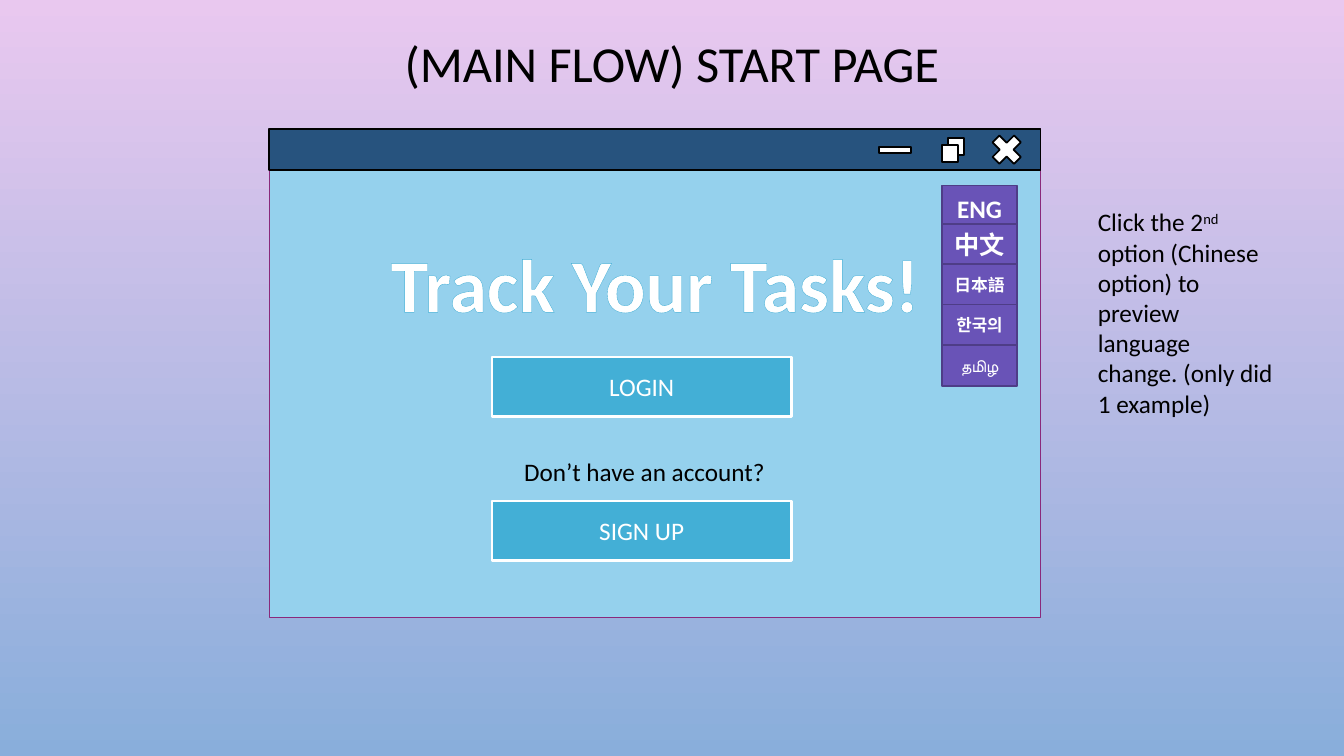
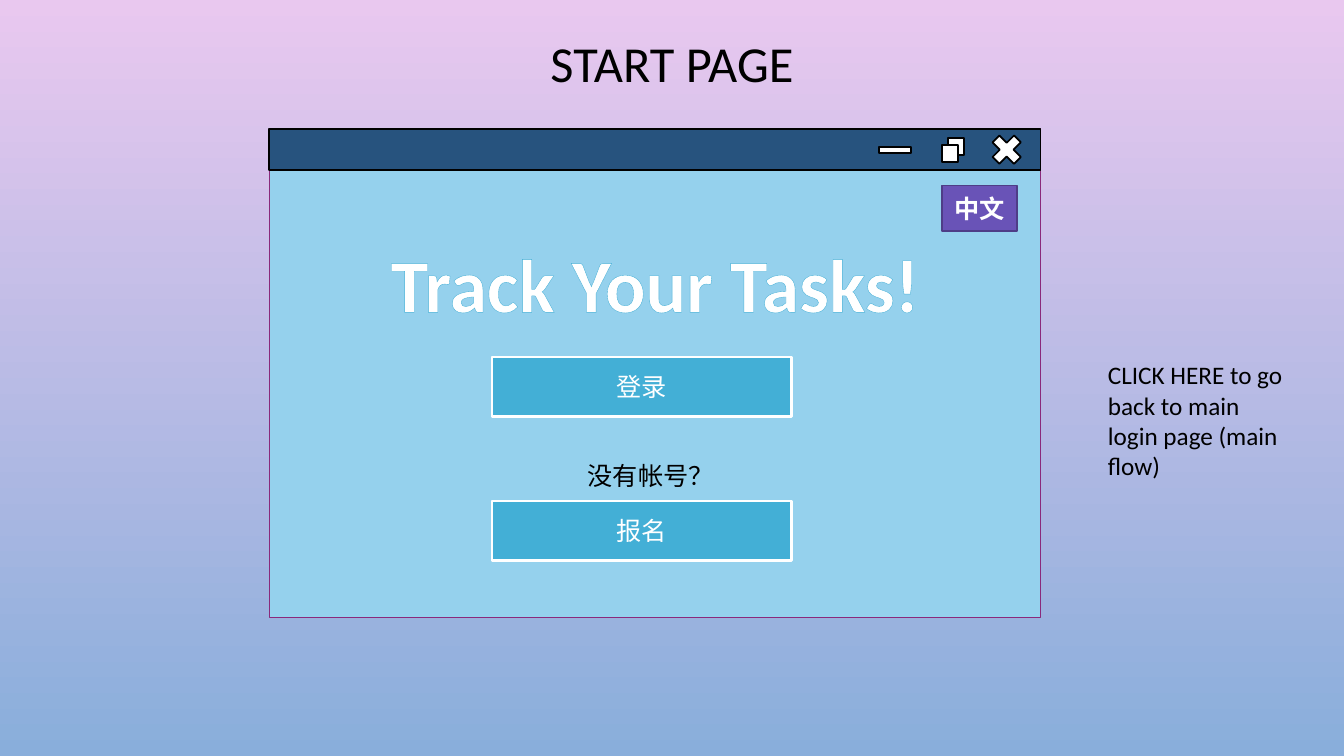
from lxml.etree import SubElement
from pptx import Presentation
from pptx.dml.color import RGBColor
from pptx.enum.shapes import MSO_SHAPE as Shape
from pptx.enum.text import MSO_ANCHOR as Anchor, MSO_AUTO_SIZE as AutoSize, PP_ALIGN as Align
from pptx.oxml.ns import qn
from pptx.util import Inches, Pt

BLACK, WHITE = RGBColor(0, 0, 0), RGBColor(255, 255, 255)
SKY_TOP, SKY_BOTTOM = RGBColor(0xE9, 0xC8, 0xEF), RGBColor(0x89, 0xAE, 0xDB)
PANE, PANE_EDGE = RGBColor(0x95, 0xD1, 0xED), RGBColor(0x8A, 0x29, 0x7B)
NAVY, AQUA = RGBColor(0x27, 0x53, 0x7E), RGBColor(0x43, 0xAF, 0xD6)
VIOLET, VIOLET_EDGE = RGBColor(0x69, 0x53, 0xB7), RGBColor(0x4E, 0x3D, 0x87)
FONT = "Calibri"

# Content: languages are (label, size, bold); note runs are (text, raised)
HEADLINE = "Track Your Tasks!"
PAGES = [
    {
        "title": "(MAIN FLOW) START PAGE",
        "languages": [("ENG", 18, True), ("中文", 18, True), ("日本語", 12, True),
                      ("한국의", 12, True), ("தமிழ", 12, False)],
        "buttons": ["LOGIN", "SIGN UP"],
        "question": ("Don’t have an account?", 5.1, 4.48),
        "note": [("Click the 2", False), ("nd", True),
                 (" option (Chinese option) to preview language change. "
                  "(only did 1 example)", False)],
        "note_box": (10.79, 2, 1.94, 2.22),
    },
    {
        "title": "START PAGE",
        "languages": [("中文", 18, True)],
        "buttons": ["登录", "报名"],
        "question": ("没有帐号？", 5.73, 4.52),
        "note": [("CLICK HERE to go back to main login page (main flow)", False)],
        "note_box": (10.89, 3.52, 1.94, 1.31),
    },
]

# Layout, in inches
WIN_X, WIN_Y, WIN_W, WIN_H, BAR_H = 2.67, 1.28, 7.65, 4.85, 0.41
WINDOW_PARTS = [
    (Shape.RECTANGLE, (WIN_X, WIN_Y, WIN_W, WIN_H), PANE, PANE_EDGE, 0.75),
    (Shape.RECTANGLE, (WIN_X, WIN_Y, WIN_W, BAR_H), NAVY, BLACK, 1.25),
    (Shape.MATH_MULTIPLY, (9.78, WIN_Y, BAR_H, BAR_H), WHITE, BLACK, 1.25),
    (Shape.FLOWCHART_PROCESS, (9.4, 1.37, 0.16, 0.17), WHITE, BLACK, 1.25),
    (Shape.FLOWCHART_PROCESS, (9.34, 1.44, 0.16, 0.17), WHITE, BLACK, 1.25),
    (Shape.MATH_MINUS, (8.66, 1.37, 0.43, 0.24), WHITE, BLACK, 1.25),
]
LANG_X, LANG_W, LANG_Y, LANG_H = 9.34, 0.75, 1.84, 0.45
OPTION_Y, OPTION_STEP, OPTION_H = 2.22, 0.4, 0.41
BUTTON_X, BUTTON_Y, BUTTON_STEP, BUTTON_W, BUTTON_H = 4.88, 3.54, 1.43, 2.97, 0.59


def style(paragraph, size, color, bold=False, align=Align.LEFT):
    paragraph.alignment = align
    font = paragraph.font
    font.name, font.size, font.bold = FONT, Pt(size), bold
    font.color.rgb = color


def add_box(slide, kind, box, fill, edge, weight):
    shape = slide.shapes.add_shape(kind, *map(Inches, box))
    shape.shadow.inherit = False
    shape.fill.solid()
    shape.fill.fore_color.rgb = fill
    shape.line.color.rgb = edge
    shape.line.width = Pt(weight)
    return shape


def add_button(slide, label, box, fill, edge, weight, size=18, bold=False):
    frame = add_box(slide, Shape.FLOWCHART_PROCESS, box, fill, edge, weight).text_frame
    frame.vertical_anchor = Anchor.MIDDLE
    frame.text = label
    style(frame.paragraphs[0], size, WHITE, bold, Align.CENTER)


def add_text(slide, runs, box, wrap=True):
    frame = slide.shapes.add_textbox(*map(Inches, box)).text_frame
    frame.word_wrap = wrap
    frame.auto_size = AutoSize.SHAPE_TO_FIT_TEXT
    paragraph = frame.paragraphs[0]
    for text, raised in runs:
        run = paragraph.add_run()
        run.text = text
        if raised:
            run.font._element.set("baseline", "30000")
    style(paragraph, 18, BLACK)
    return paragraph


def add_title(slide, text):
    title = slide.shapes.title
    title.left, title.top, title.width, title.height = map(Inches, (1, -0.22, 11.33, 1.75))
    frame = title.text_frame
    frame.text = text
    frame.vertical_anchor = Anchor.MIDDLE
    frame.auto_size = AutoSize.NONE
    frame.paragraphs[0].line_spacing = 0.9
    style(frame.paragraphs[0], 36, BLACK, align=Align.CENTER)


def add_headline(slide):
    paragraph = add_text(slide, [(HEADLINE, False)], (3.71, 2.3, 5.58, 1.01), wrap=False)
    style(paragraph, 54, WHITE, True, Align.CENTER)
    # Thin outline around the letters
    props = paragraph.runs[0].font._element
    outline = SubElement(props, qn("a:ln"), w=str(Pt(0.8)))
    fill = SubElement(outline, qn("a:solidFill"))
    SubElement(fill, qn("a:srgbClr"), val=str(AQUA))


def add_languages(slide, languages):
    for i, (label, size, bold) in enumerate(languages):
        top, height = ((LANG_Y, LANG_H) if i == 0
                       else (OPTION_Y + (i - 1) * OPTION_STEP, OPTION_H))
        add_button(slide, label, (LANG_X, top, LANG_W, height),
                   VIOLET, VIOLET_EDGE, 1.25, size, bold)


def build_page(prs, page):
    slide = prs.slides.add_slide(prs.slide_layouts[5])
    add_title(slide, page["title"])
    for part in WINDOW_PARTS:
        add_box(slide, *part)
    add_languages(slide, page["languages"])
    add_headline(slide)
    for i, label in enumerate(page["buttons"]):
        add_button(slide, label, (BUTTON_X, BUTTON_Y + i * BUTTON_STEP, BUTTON_W, BUTTON_H),
                   AQUA, WHITE, 1.75)
    question, left, top = page["question"]
    add_text(slide, [(question, False)], (left, top, 2.76, 0.4))
    add_text(slide, page["note"], page["note_box"])


def main():
    prs = Presentation()
    prs.slide_width, prs.slide_height = Inches(13.33), Inches(7.5)
    # Shared background
    sky = prs.slide_master.background.fill
    sky.gradient()
    sky.gradient_angle = 270
    for stop, color in zip(sky.gradient_stops, (SKY_TOP, SKY_BOTTOM)):
        stop.color.rgb = color
    for page in PAGES:
        build_page(prs, page)
    prs.save("out.pptx")


if __name__ == "__main__":
    main()
